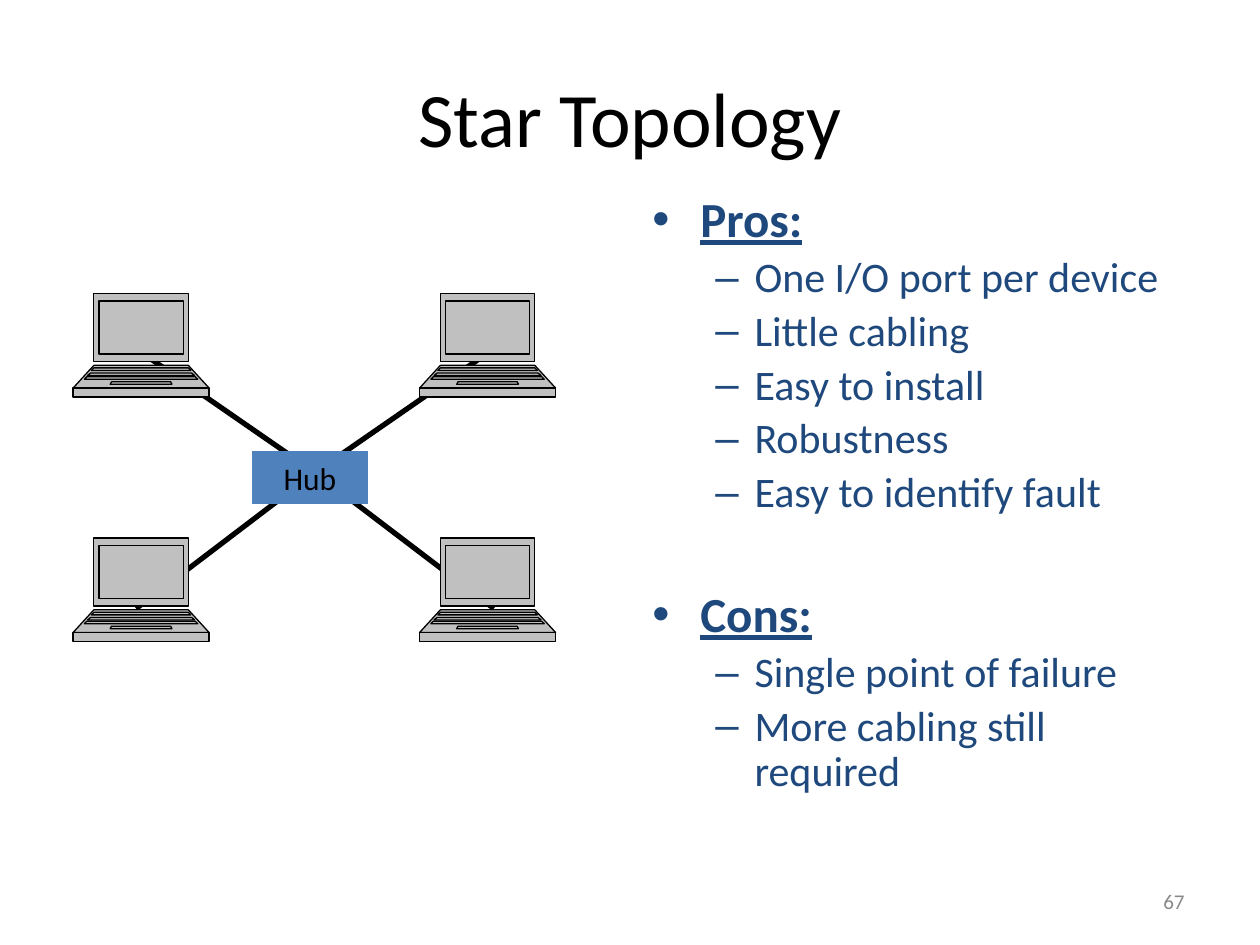
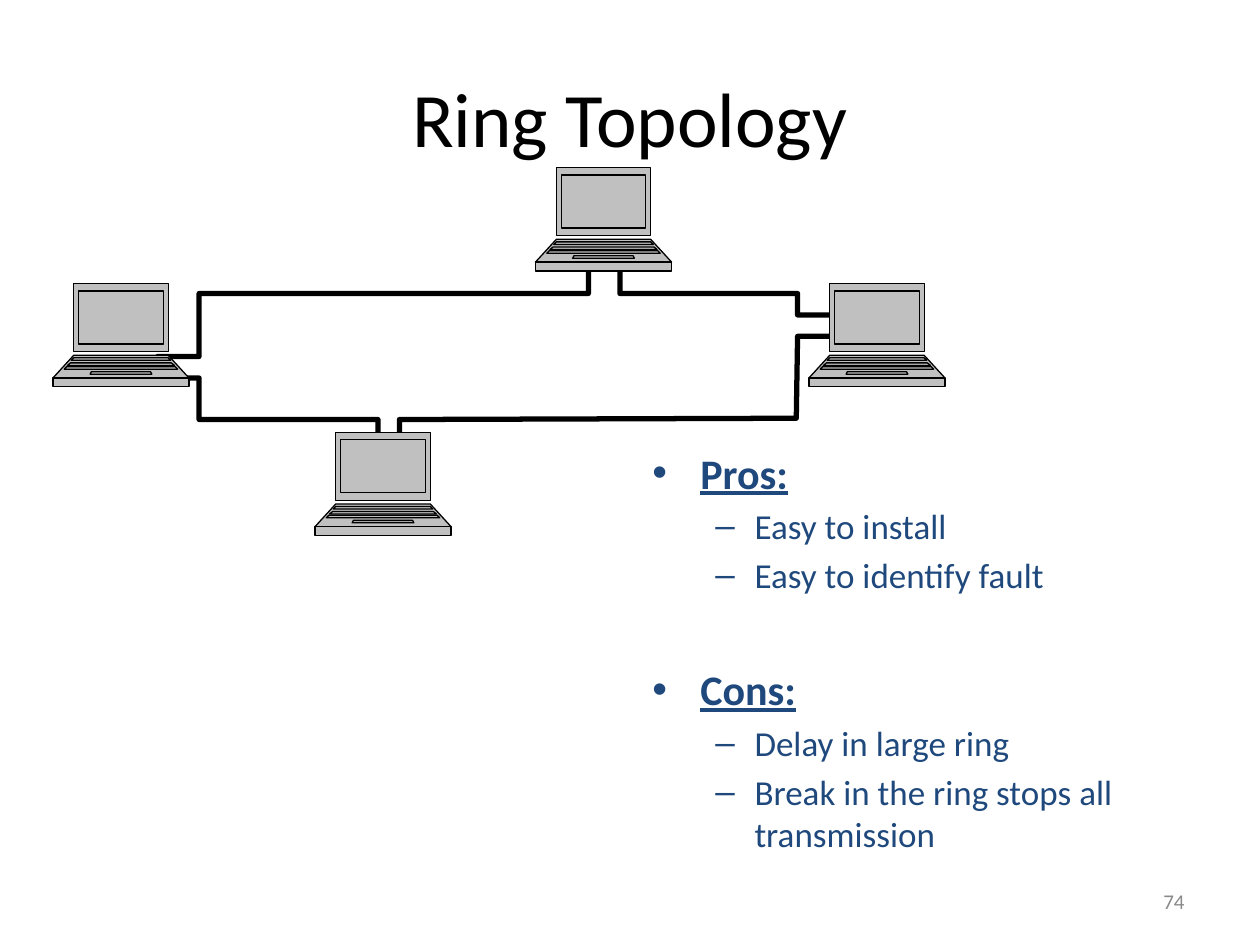
"""Build two slides that compare the star and ring network topologies."""
import copy
from dataclasses import dataclass

import pptx
import pptx.dml.color
import pptx.enum.shapes
import pptx.enum.text
import pptx.oxml
import pptx.oxml.ns
import pptx.util

Inches = pptx.util.Inches
Pt = pptx.util.Pt
qn = pptx.oxml.ns.qn
Align = pptx.enum.text.PP_ALIGN
Anchor = pptx.enum.text.MSO_ANCHOR

COMPUTER_CENTRE = 0.54
COMPUTER_PARTS = [
    # half width at top, half width at bottom, top, bottom
    (0.375, 0.375, 0, 0.54),
    (0.375, 0.54, 0.57, 0.75),
    (0.54, 0.54, 0.75, 0.82),
    (0.335, 0.335, 0.06, 0.48),
    (0.375, 0.395, 0.59, 0.61),
    (0.235, 0.245, 0.70, 0.72),
    (0.40, 0.425, 0.63, 0.65),
    (0.43, 0.45, 0.66, 0.68),
]


@dataclass(frozen=True)
class Theme:
    font: str = "Calibri"
    bullet_font: str = "Arial"
    ink: str = "000000"
    points: str = "1F497D"
    number: str = "898989"
    hub: str = "4F81BD"
    computer: str = "C0C0C0"
    title_size: int = 44
    hub_size: int = 18
    number_size: int = 12
    cable: float = 3
    outline: float = 0.75


def rgb(colour):
    return pptx.dml.color.RGBColor.from_string(colour)


class Deck:
    def __init__(self, theme):
        self.theme = theme
        self.deck = pptx.Presentation()
        self.deck.slide_width, self.deck.slide_height = Inches(10), Inches(7.5)
        self.slide = None

    def add_slide(self, title, number):
        self.slide = self.deck.slides.add_slide(self.deck.slide_layouts[5])
        heading = self.slide.shapes.title
        heading.left, heading.top = Inches(0.5), Inches(0.3)
        heading.width, heading.height = Inches(9), Inches(1.25)
        self.label(heading, title, self.theme.title_size, self.theme.ink)
        page = self.text_box(7.17, 6.95, 2.33, 0.4)
        self.label(page, number, self.theme.number_size, self.theme.number, Align.RIGHT)

    def text_box(self, left, top, width, height):
        box = self.slide.shapes.add_textbox(*map(Inches, (left, top, width, height)))
        box.text_frame.word_wrap = True
        return box

    def label(self, shape, text, size, colour, align=Align.CENTER):
        shape.text_frame.vertical_anchor = Anchor.MIDDLE
        paragraph = shape.text_frame.paragraphs[0]
        paragraph.alignment = align
        self.run(paragraph, text, size, colour)

    def run(self, paragraph, text, size, colour, strong=False):
        run = paragraph.add_run()
        run.text = text
        run.font.name = self.theme.font
        run.font.size = Pt(size)
        run.font.color.rgb = rgb(colour)
        run.font.bold = run.font.underline = strong

    def bullet(self, paragraph, mark, margin, hanging):
        properties = paragraph._p.get_or_add_pPr()
        properties.set("marL", str(Inches(margin)))
        properties.set("indent", str(-Inches(hanging)))
        colour = pptx.oxml.ns.nsdecls("a")
        for xml in (
            f'<a:buClr {colour}><a:srgbClr val="{self.theme.points}"/></a:buClr>',
            f'<a:buFont {colour} typeface="{self.theme.bullet_font}"/>',
            f'<a:buChar {colour} char="{mark}"/>',
        ):
            properties.append(pptx.oxml.parse_xml(xml))

    def pros_and_cons(self, top, height, size, line_spacing, pros, cons):
        frame = self.text_box(5.08, top, 4.42, height).text_frame
        group_gap = size * (0.4 + 1.22 * line_spacing)
        paragraph = frame.paragraphs[0]
        for heading, points in (("Pros:", pros), ("Cons:", cons)):
            if heading == "Cons:":
                paragraph = frame.add_paragraph()
            self.bullet(paragraph, "•", 0.38, 0.38)
            paragraph.line_spacing = line_spacing
            paragraph.space_before = Pt(group_gap if heading == "Cons:" else 0)
            self.run(paragraph, heading, size, self.theme.points, strong=True)
            for point in points:
                paragraph = frame.add_paragraph()
                paragraph.level = 1
                self.bullet(paragraph, "–", 0.81, 0.31)
                paragraph.line_spacing = line_spacing
                paragraph.space_before = Pt((size - 4) * 0.2)
                self.run(paragraph, point, size - 4, self.theme.points)

    def cable(self, start, end):
        line = self.slide.shapes.add_connector(
            pptx.enum.shapes.MSO_CONNECTOR.STRAIGHT, *map(Inches, start + end))
        self.stroke(line, self.theme.cable)
        properties = line._element.spPr
        properties.append(properties.makeelement(qn("a:effectLst"), {}))

    def stroke(self, shape, width):
        shape.line.color.rgb = rgb(self.theme.ink)
        shape.line.width = Pt(width)

    def outline(self, contours, close, width):
        contours = [[(Inches(x), Inches(y)) for x, y in contour] for contour in contours]
        builder = self.slide.shapes.build_freeform(*contours[0][0])
        for index, (start, *rest) in enumerate(contours):
            if index:
                builder.move_to(*start)
            builder.add_line_segments(rest, close=close)
        shape = builder.convert_to_shape()
        shape.shadow.inherit = False
        self.stroke(shape, width)
        return shape

    def ring_cable(self, points):
        self.outline([points], False, self.theme.cable).fill.background()

    def computer(self, left, top):
        middle = left + COMPUTER_CENTRE
        contours = [
            [(middle - upper, top + start), (middle + upper, top + start),
             (middle + lower, top + end), (middle - lower, top + end)]
            for upper, lower, start, end in COMPUTER_PARTS
        ]
        shape = self.outline(contours, True, self.theme.outline)
        shape.fill.solid()
        shape.fill.fore_color.rgb = rgb(self.theme.computer)
        self.separate_contours(shape)

    def separate_contours(self, shape):
        outlines = shape._element.spPr.find(".//" + qn("a:pathLst"))
        combined = outlines[0]
        steps = list(combined)
        for step in steps:
            combined.remove(step)
        for step in steps:
            if step.tag == qn("a:moveTo"):
                part = copy.deepcopy(combined)
                outlines.append(part)
            part.append(step)
        outlines.remove(combined)

    def hub(self, left, top, width, height):
        shape = self.slide.shapes.add_shape(
            pptx.enum.shapes.MSO_SHAPE.RECTANGLE, *map(Inches, (left, top, width, height)))
        shape.shadow.inherit = False
        shape.fill.solid()
        shape.fill.fore_color.rgb = rgb(self.theme.hub)
        shape.line.fill.background()
        self.label(shape, "Hub", self.theme.hub_size, self.theme.ink)


def star_slide(deck):
    deck.add_slide("Star Topology", "67")
    for cable_end in ((1.17, 2.83), (3.83, 2.83), (1.08, 4.83), (3.92, 4.83)):
        deck.cable((2.5, 3.75), cable_end)
    for top in (2.33, 4.27):
        for left in (0.58, 3.33):
            deck.computer(left, top)
    deck.hub(2, 3.58, 0.92, 0.42)
    deck.pros_and_cons(
        1.5, 5.42, 28, 0.9,
        ["One I/O port per device", "Little cabling", "Easy to install",
         "Robustness", "Easy to identify fault"],
        ["Single point of failure", "More cabling still required"])


def ring_slide(deck):
    deck.add_slide("Ring Topology", "74")
    deck.ring_cable([
        (3, 3.67), (3, 3.33), (1.58, 3.33), (1.58, 3), (1.25, 3), (1.25, 2.83),
        (1.58, 2.83), (1.58, 2.33), (4.67, 2.33), (4.67, 2), (4.92, 2), (4.92, 2.33),
        (6.33, 2.33), (6.33, 2.5), (6.67, 2.5), (6.67, 2.67), (6.33, 2.67),
        (6.32, 3.32), (3.17, 3.33), (3.17, 3.67)])
    for left, top in ((4.25, 1.33), (6.42, 2.25), (0.42, 2.25), (2.5, 3.43)):
        deck.computer(left, top)
    deck.pros_and_cons(
        3.5, 3.67, 24, 1.0,
        ["Easy to install", "Easy to identify fault"],
        ["Delay in large ring", "Break in the ring stops all transmission"])


def main():
    deck = Deck(Theme())
    star_slide(deck)
    ring_slide(deck)
    deck.deck.save("out.pptx")


if __name__ == "__main__":
    main()
